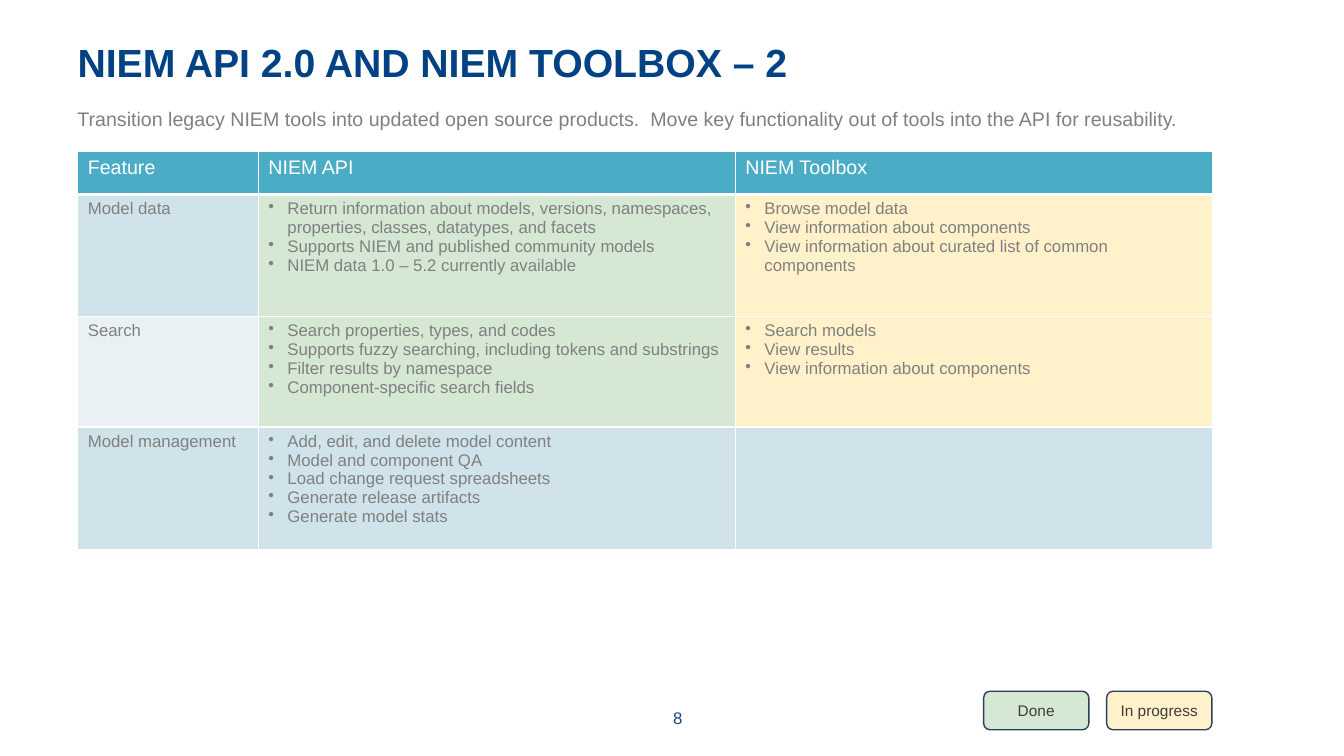
import pptx
import pptx.util
import pptx.dml.color
import pptx.enum.shapes
import pptx.enum.text
import pptx.oxml
import pptx.oxml.ns

Cm, Pt = pptx.util.Cm, pptx.util.Pt
RGB = pptx.dml.color.RGBColor
ALIGN = pptx.enum.text.PP_ALIGN
ANCHOR = pptx.enum.text.MSO_ANCHOR

NAVY, INK, EDGE = RGB(0x00, 0x42, 0x83), RGB(0x1F, 0x49, 0x7D), RGB(0x2C, 0x3F, 0x5C)
GRAY, DARK, WHITE = RGB(0x80, 0x80, 0x80), RGB(0x3C, 0x3C, 0x3C), RGB(0xFF, 0xFF, 0xFF)
TEAL, BLUE, PALE = RGB(0x4B, 0xAC, 0xC6), RGB(0xD0, 0xE3, 0xEA), RGB(0xE9, 0xF1, 0xF5)
GREEN, AMBER = RGB(0xD4, 0xE8, 0xD4), RGB(0xFF, 0xF1, 0xC9)

# Content
TITLE = "NIEM API 2.0 AND NIEM TOOLBOX – 2"
INTRO = ("Transition legacy NIEM tools into updated open source products.  "
         "Move key functionality out of tools into the API for reusability.")
PAGE = "8"
HEAD = ["Feature", "NIEM API", "NIEM Toolbox"]
ROWS = [
    ("Model data",
     ["Return information about models, versions, namespaces, properties, "
      "classes, datatypes, and facets",
      "Supports NIEM and published community models",
      "NIEM data 1.0 – 5.2 currently available"],
     ["Browse model data",
      "View information about components",
      "View information about curated list of common components"]),
    ("Search",
     ["Search properties, types, and codes",
      "Supports fuzzy searching, including tokens and substrings",
      "Filter results by namespace",
      "Component-specific search fields"],
     ["Search models",
      "View results",
      "View information about components"]),
    ("Model management",
     ["Add, edit, and delete model content",
      "Model and component QA",
      "Load change request spreadsheets",
      "Generate release artifacts",
      "Generate model stats"],
     []),
]
FILLS = [(BLUE, GREEN, AMBER), (PALE, GREEN, AMBER), (BLUE, BLUE, BLUE)]
LEGEND = [("Done", GREEN), ("In progress", AMBER)]

# Formats
HEADING = dict(size=Pt(28), bold=True, color=NAVY)
LEAD = dict(size=Pt(14), bold=False, color=GRAY)
NUMBER = dict(size=Pt(12), bold=False, color=INK)
TOP = dict(size=Pt(14), bold=False, color=WHITE)
BODY = dict(size=Pt(12), bold=False, color=GRAY)
LABEL = dict(size=Pt(11), bold=False, color=DARK)

# Measures in cm
LEFT, EDGE_X, TABLE_Y = 1.96, 30.54, 3.81
COLS = [4.55, 12.02, 12.02]
HIGH = [1.09, 3.07, 2.79, 3.08]
KEY_W, KEY_H, KEY_Y, STEP = 2.65, 0.97, 17.42, 3.1
INDENT = Cm(0.48)


def style(font, form):
    for name, value in dict(form, name="Arial").items():
        if name == "color":
            font.color.rgb = value
        else:
            setattr(font, name, value)


def write(frame, lines, form, align=ALIGN.LEFT, bullet=False):
    frame.word_wrap = True
    for i, line in enumerate(lines):
        para = frame.add_paragraph() if i else frame.paragraphs[0]
        para.alignment = align
        if bullet:
            props = para._p.get_or_add_pPr()
            props.set("marL", str(INDENT))
            props.set("indent", str(-INDENT))
            mark = pptx.oxml.parse_xml(
                f'<a:buChar {pptx.oxml.ns.nsdecls("a")} char="•"/>')
            props.append(mark)
        run = para.add_run()
        run.text = line
        style(run.font, form)


def border(cell, base):
    props = cell._tc.get_or_add_tcPr()
    for side in "LRTB":
        wide = Pt(base if side == "B" else 1)
        props.append(pptx.oxml.parse_xml(
            f'<a:ln{side} {pptx.oxml.ns.nsdecls("a")} w="{wide}"><a:solidFill>'
            f'<a:srgbClr val="{WHITE}"/></a:solidFill></a:ln{side}>'))


def paint(item, color):
    item.fill.solid()
    item.fill.fore_color.rgb = color


deck = pptx.Presentation()
deck.slide_width, deck.slide_height = Cm(33.87), Cm(19.05)
slide = deck.slides.add_slide(deck.slide_layouts[5])
shapes = slide.shapes

# Title
title = shapes.title
place = dict(left=Cm(1.7), top=Cm(1.07), width=Cm(30.48), height=Cm(2.26))
for name, value in place.items():
    setattr(title, name, value)
title.text_frame.vertical_anchor = ANCHOR.TOP
write(title.text_frame, [TITLE], HEADING)
title.text_frame.paragraphs[0].line_spacing = 0.8

# Intro line and page number
intro = shapes.add_textbox(Cm(1.7), Cm(2.57), Cm(28.85), Cm(1.24))
write(intro.text_frame, [INTRO], LEAD)
page = shapes.add_textbox(Cm(13.13), Cm(17.7), Cm(7.9), Cm(1.02))
write(page.text_frame, [PAGE], NUMBER, ALIGN.CENTER)

# Feature table
table = shapes.add_table(len(HIGH), len(COLS), Cm(LEFT), Cm(TABLE_Y),
                         Cm(sum(COLS)), Cm(sum(HIGH))).table
for col, wide in zip(table.columns, COLS):
    col.width = Cm(wide)
for row, high in zip(table.rows, HIGH):
    row.height = Cm(high)
for c, text in enumerate(HEAD):
    cell = table.cell(0, c)
    border(cell, 3)
    paint(cell, TEAL)
    write(cell.text_frame, [text], TOP)
for r, (row, fills) in enumerate(zip(ROWS, FILLS), 1):
    for c, (text, fill) in enumerate(zip(row, fills)):
        cell = table.cell(r, c)
        border(cell, 1)
        paint(cell, fill)
        write(cell.text_frame, text if c else [text], BODY, bullet=c > 0)

# Status legend, set flush with the right edge of the table
start = EDGE_X - KEY_W - STEP * (len(LEGEND) - 1)
for i, (text, fill) in enumerate(LEGEND):
    key = shapes.add_shape(pptx.enum.shapes.MSO_SHAPE.ROUNDED_RECTANGLE,
                           Cm(start + i * STEP), Cm(KEY_Y), Cm(KEY_W), Cm(KEY_H))
    key.shadow.inherit = False
    paint(key, fill)
    key.line.color.rgb = EDGE
    key.line.width = Pt(1)
    key.text_frame.vertical_anchor = ANCHOR.MIDDLE
    write(key.text_frame, [text], LABEL, ALIGN.CENTER)

deck.save("out.pptx")
